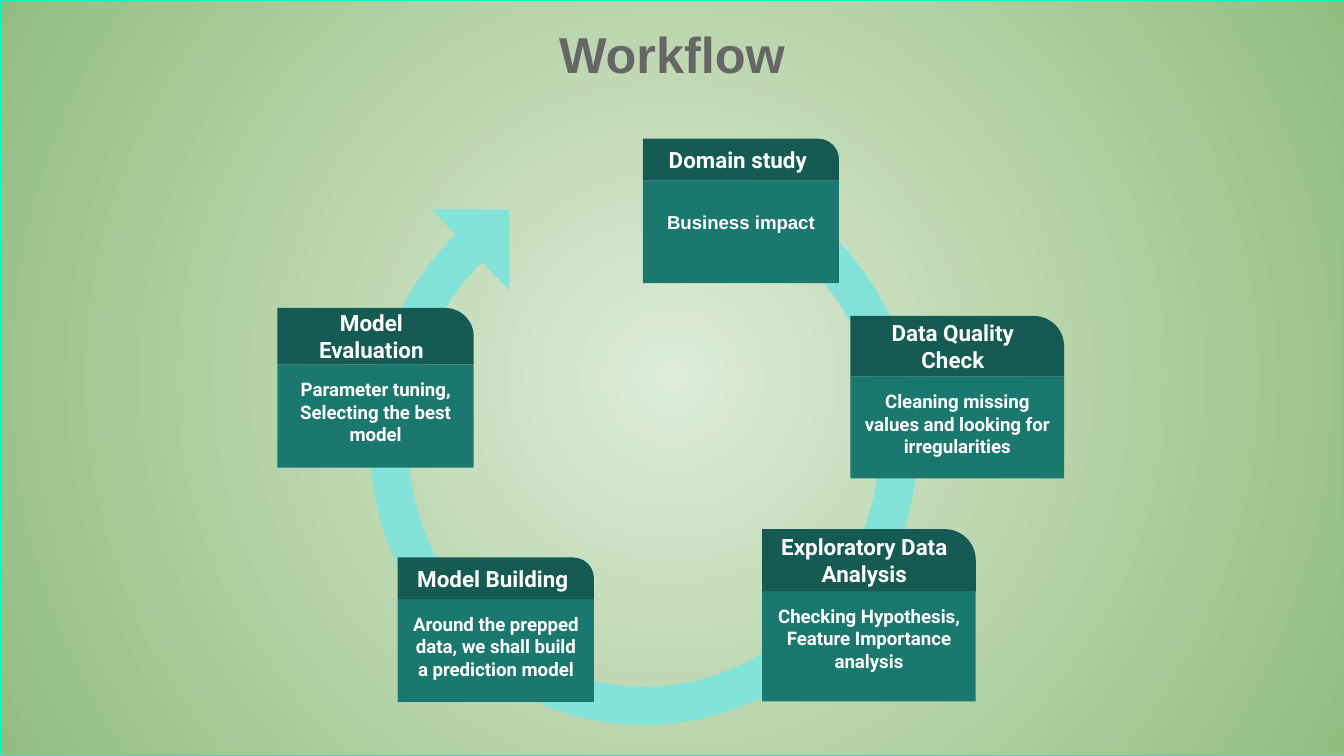
from lxml.etree import SubElement
from pptx import Presentation
from pptx.dml.color import RGBColor
from pptx.enum.shapes import MSO_SHAPE
from pptx.enum.text import MSO_ANCHOR, PP_ALIGN
from pptx.oxml.ns import qn
from pptx.util import Inches, Pt

CENTRE_GREEN = RGBColor(0xDC, 0xEC, 0xD5)
EDGE_GREEN = RGBColor(0x93, 0xBC, 0x81)
BORDER = RGBColor(0x00, 0xFD, 0xC8)
TITLE_GREY = RGBColor(0x66, 0x66, 0x66)
CYCLE = RGBColor(0x83, 0xE3, 0xD9)
HEADER = RGBColor(0x15, 0x5B, 0x54)
BODY = RGBColor(0x1B, 0x78, 0x6E)
WHITE = RGBColor(0xFF, 0xFF, 0xFF)

# A 16:9 page
deck = Presentation()
deck.slide_width = Inches(10)
deck.slide_height = deck.slide_width * 9 // 16
page = deck.slides.add_slide(deck.slide_layouts[5])

# Positions are percentages of the slide's width and height
COLUMN = deck.slide_width / 100
ROW = deck.slide_height / 100


def add_box(kind, left, top, width, height, color):
    box = page.shapes.add_shape(kind, int(left * COLUMN), int(top * ROW),
                                int(width * COLUMN), int(height * ROW))
    box.shadow.inherit = False
    box.fill.solid()
    box.fill.fore_color.rgb = color
    box.line.fill.background()
    return box


def write(box, text, font, size, color):
    frame = box.text_frame
    frame.word_wrap = True
    frame.vertical_anchor = MSO_ANCHOR.MIDDLE
    frame.margin_left = frame.margin_right = Inches(0.1)
    frame.margin_top = frame.margin_bottom = Inches(0.1)
    frame.text = text
    for para in frame.paragraphs:
        para.alignment = PP_ALIGN.CENTER
        for span in para.runs:
            span.font.name = font
            span.font.size = Pt(size)
            span.font.bold = True
            span.font.color.rgb = color


# Backdrop with a radial gradient, placed behind the title
backdrop = add_box(MSO_SHAPE.RECTANGLE, 0, 0, 100, 100, CENTRE_GREEN)
backdrop.fill.gradient()
for stop, color in zip(backdrop.fill.gradient_stops, (CENTRE_GREEN, EDGE_GREEN)):
    stop.color.rgb = color
gradient = backdrop.element.spPr.find(qn("a:gradFill"))
gradient.remove(gradient.find(qn("a:lin")))
radial = SubElement(gradient, qn("a:path"), {"path": "circle"})
SubElement(radial, qn("a:fillToRect"), {side: "50000" for side in "ltrb"})
backdrop.line.color.rgb = BORDER
backdrop.line.width = Pt(0.75)
page.shapes.element.insert(2, backdrop.element)

# Title
title = page.shapes.title
title.left, title.width = int(27.5 * COLUMN), int(45 * COLUMN)
title.top, title.height = int(2 * ROW), int(11 * ROW)
write(title, "Workflow", "Arial", 27, TITLE_GREY)
title.text_frame.paragraphs[0].line_spacing = 0.9

# Circular arrow: ring and head
ring = add_box(MSO_SHAPE.BLOCK_ARC, 27.5, 20.8, 40.8, 75.1, CYCLE)
for index, value in enumerate((54, 30.13, 0.07)):
    ring.adjustments[index] = value
head = add_box(MSO_SHAPE.RIGHT_TRIANGLE, 32.1, 27.7, 5.8, 10.7, CYCLE)
ring.rotation = head.rotation = 180

# Steps: left, top, width, header height, body height, heading, detail, detail font
steps = [
    (47.83, 18.35, 14.6, 5.5, 13.6, "Domain study", "Business impact", "Arial"),
    (63.27, 41.8, 15.9, 8, 13.5, "Data Quality Check",
     "Cleaning missing values and looking for irregularities", "Roboto"),
    (56.7, 70, 15.9, 8.2, 14.6, "Exploratory Data Analysis",
     "Checking Hypothesis,\nFeature Importance analysis", "Roboto"),
    (29.6, 73.75, 14.6, 5.5, 13.6, "Model Building",
     "Around the prepped data, we shall build a prediction model", "Roboto"),
    (20.65, 40.75, 14.6, 7.5, 13.6, "Model Evaluation",
     "Parameter tuning,\nSelecting the best model", "Roboto"),
]
for left, top, width, header_height, body_height, heading, detail, font in steps:
    body = add_box(MSO_SHAPE.RECTANGLE, left, top + header_height, width, body_height, BODY)
    write(body, detail, font, 10, WHITE)
    if detail == "Business impact":
        body.text_frame.margin_bottom = Inches(0.25)  # lifts the single line
    else:
        body.text_frame.vertical_anchor = MSO_ANCHOR.TOP
    header = add_box(MSO_SHAPE.ROUND_1_RECTANGLE, left, top, width, header_height, HEADER)
    header.adjustments[0] = 0.5
    write(header, heading, "Roboto", 12, WHITE)

deck.save("out.pptx")
